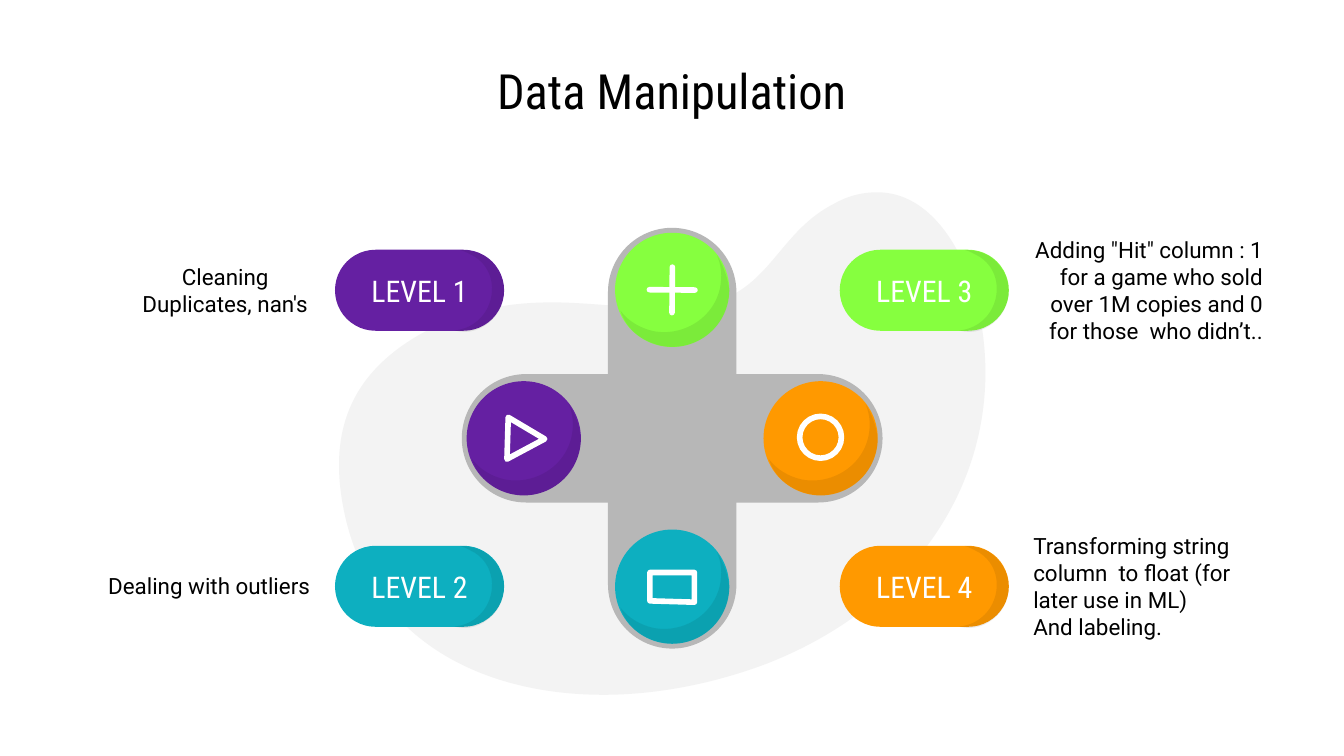
import dataclasses
import typing

import lxml.etree
import pptx
import pptx.dml.color
import pptx.enum.shapes
import pptx.enum.text
import pptx.oxml.ns
import pptx.util

Pt = pptx.util.Pt
SHAPES = pptx.enum.shapes.MSO_SHAPE
ALIGN = pptx.enum.text.PP_ALIGN
ANCHOR = pptx.enum.text.MSO_ANCHOR
Point = tuple[float, float]

CENTER_X, CENTER_Y = 360.1, 234.8
REACH = 79.5  # from the middle of the pad to each button
BUTTON = 61.2
PILL_WIDTH, PILL_HEIGHT = 90.6, 43.4
LEFT_PILL, RIGHT_PILL = 224.8, 495.2
TOP_ROW, BOTTOM_ROW = 155.5, 314.1

# Curves: the start point, then two control points and an end point per segment
BLOB = [(470, 103), (463, 103), (455, 104.4), (446.4, 109.4),
        (414, 126), (411.8, 162), (367.9, 164.2),
        (363.6, 164.2), (359.3, 164.9), (355, 164.9),
        (334, 164.9), (314.6, 162), (295.9, 162),
        (272.9, 162), (250.6, 165.6), (226, 178.6),
        (185, 201.6), (176.4, 234.7), (184.3, 273.6),
        (198, 341.3), (256.3, 372.2), (323.3, 372.2),
        (351.4, 372.2), (381.6, 366.5), (410.4, 355.7),
        (501.1, 320.4), (543.6, 239.8), (522.7, 159.1),
        (516.2, 134.6), (499, 103), (470, 103)]
BUTTON_SHADE = [(24.1, -18.4), (25.6, -14.8), (26.3, -11.2), (26.3, -7.6),
                (26.3, 13.3), (6.8, 25.6), (-10.4, 22),
                (-16.9, 20.5), (-23.4, 16.9), (-27.7, 11.2),
                (-24.1, 22), (-15.5, 27.7), (-6.1, 29.9),
                (10.4, 33.5), (29.9, 22), (30.6, 0.4),
                (29.9, -6.1), (27.7, -12.6), (24.1, -18.4)]
PILL_SHADE = [(21.6, -21.6), (24.5, -20.9), (26.6, -19.4), (29.5, -18),
              (41.8, -10.1), (41, 6.5), (32.4, 15.1),
              (28.8, 18.7), (24.5, 20.9), (18.7, 21.6),
              (26.6, 23.8), (33.8, 20.9), (38.9, 15.8),
              (47.5, 7.2), (48.2, -8.6), (35.3, -18),
              (31.7, -20.2), (26.6, -21.6), (21.6, -21.6)]

# Straight symbols, each a list of strokes around the button's middle
SYMBOLS = {
    "triangle": [[(11.2, 0.4), (-8.3, -11.2), (-9, 11.2)]],
    "rectangle": [[(-11.9, -7.6), (11.9, -7.6), (11.9, 8.3), (-11.9, 7.6)]],
    "plus": [[(0.1, -12.2), (-0.1, 12.2)], [(12.2, 0.1), (-12.2, -0.1)]],
}


@dataclasses.dataclass
class Level:
    title: str
    color: str
    pill_x: float
    row_y: float
    button_x: float
    button_y: float
    symbol: str
    note: str
    note_box: tuple[float, float, float, float]
    align: typing.Any
    anchor: typing.Any = ANCHOR.MIDDLE
    note_inset: float = 7.2


LEVELS = [
    Level("LEVEL 2", "0DAFC0", LEFT_PILL, BOTTOM_ROW, CENTER_X, CENTER_Y + REACH,
          "rectangle", "Dealing with outliers", (36, 286.2, 137.3, 55.4), ALIGN.RIGHT),
    Level("LEVEL 1", "6520A2", LEFT_PILL, TOP_ROW, CENTER_X - REACH, CENTER_Y,
          "triangle", "Cleaning\nDuplicates, nan's", (36, 127.8, 169.4, 55.4),
          ALIGN.CENTER),
    Level("LEVEL 3", "86FF3F", RIGHT_PILL, TOP_ROW, CENTER_X, CENTER_Y - REACH,
          "plus", 'Adding "Hit" column : 1 for a game who sold over 1M copies '
          "and 0 for those  who didn’t..", (546.5, 126.7, 137.3, 84.2),
          ALIGN.RIGHT, ANCHOR.TOP, 0),
    Level("LEVEL 4", "FF9900", RIGHT_PILL, BOTTOM_ROW, CENTER_X + REACH, CENTER_Y,
          "circle", "Transforming string column  to float (for later use in ML)\n"
          "And labeling.", (546.5, 286.2, 137.3, 55.4), ALIGN.LEFT),
]


def rgb(color: str) -> pptx.dml.color.RGBColor:
    return pptx.dml.color.RGBColor.from_string(color)


def write(shape, text: str, *, font: str, size: float, color: str,
          align=ALIGN.CENTER, anchor=ANCHOR.MIDDLE, inset: float = 7.2) -> None:
    frame = shape.text_frame
    frame.word_wrap = True
    frame.auto_size = pptx.enum.text.MSO_AUTO_SIZE.NONE
    frame.vertical_anchor = anchor
    frame.margin_left = frame.margin_right = Pt(7.2)
    frame.margin_top = frame.margin_bottom = Pt(inset)
    frame.text = text
    for paragraph in frame.paragraphs:
        paragraph.alignment = align
        for run in paragraph.runs:
            run.font.name = font
            run.font.size = Pt(size)
            run.font.color.rgb = rgb(color)


def paint(shape, color: str, opacity: int = 100) -> None:
    shape.shadow.inherit = False
    shape.fill.solid()
    shape.fill.fore_color.rgb = rgb(color)
    shape.line.fill.background()
    if opacity < 100:
        element = shape.fill._xPr.find(".//" + pptx.oxml.ns.qn("a:srgbClr"))
        lxml.etree.SubElement(element, pptx.oxml.ns.qn("a:alpha"), val=str(opacity * 1000))


def stroke(shape) -> None:
    """Leave a symbol unfilled, with a white line and round ends and corners."""
    shape.shadow.inherit = False
    shape.fill.background()
    shape.line.color.rgb = rgb("FFFFFF")
    shape.line.width = Pt(3)
    line = shape.line._get_or_add_ln()
    line.set("cap", "rnd")
    lxml.etree.SubElement(line, pptx.oxml.ns.qn("a:round"))


def add_centered(slide, kind, x: float, y: float, width: float, height: float):
    shape = slide.shapes.add_shape(kind, Pt(x - width / 2), Pt(y - height / 2),
                                   Pt(width), Pt(height))
    if kind == SHAPES.ROUNDED_RECTANGLE:
        shape.adjustments[0] = 0.5
    return shape


def add_outline(slide, points: list[Point], x: float = 0, y: float = 0):
    placed = [(Pt(x + dx), Pt(y + dy)) for dx, dy in points]
    builder = slide.shapes.build_freeform(*placed[0])
    builder.add_line_segments(placed[1:], close=len(points) > 2)
    return builder.convert_to_shape()


def add_curve(slide, points: list[Point], x: float = 0, y: float = 0):
    """Draw an outline, then join each three line points into a cubic segment."""
    shape = add_outline(slide, points, x, y)
    lines = list(shape._element.iter(pptx.oxml.ns.qn("a:lnTo")))
    for index in range(0, len(points) - 1, 3):
        curve = lxml.etree.Element(pptx.oxml.ns.qn("a:cubicBezTo"))
        lines[index].addprevious(curve)
        for line in lines[index:index + 3]:
            curve.append(line[0])
            line.getparent().remove(line)
    return shape


def add_level(slide, level: Level) -> None:
    # Button with its symbol
    x, y = level.button_x, level.button_y
    paint(add_centered(slide, SHAPES.OVAL, x, y, BUTTON, BUTTON), level.color)
    paint(add_curve(slide, BUTTON_SHADE, x, y), "000000", 8)
    if level.symbol == "circle":
        stroke(add_centered(slide, SHAPES.OVAL, x, y - 0.5, 22.4, 22.4))
    else:
        for points in SYMBOLS[level.symbol]:
            stroke(add_outline(slide, points, x, y))
    # Note
    note = slide.shapes.add_textbox(*(Pt(length) for length in level.note_box))
    write(note, level.note, font="Roboto", size=12, color="000000",
          align=level.align, anchor=level.anchor, inset=level.note_inset)
    # Pill
    pill = add_centered(slide, SHAPES.ROUNDED_RECTANGLE, level.pill_x, level.row_y,
                        PILL_WIDTH, PILL_HEIGHT)
    paint(pill, level.color)
    write(pill, level.title, font="Roboto Condensed", size=16, color="FFFFFF")
    paint(add_curve(slide, PILL_SHADE, level.pill_x, level.row_y), "000000", 8)


def main() -> None:
    presentation = pptx.Presentation()
    presentation.slide_width, presentation.slide_height = Pt(720), Pt(405)
    slide = presentation.slides.add_slide(presentation.slide_layouts[5])

    # Title
    title = slide.shapes.title
    title.left, title.top, title.width, title.height = Pt(36), Pt(32.4), Pt(648), Pt(31.7)
    write(title, "Data Manipulation", font="Roboto Condensed", size=26, color="000000")

    # Background blob and direction pad
    paint(add_curve(slide, BLOB), "F3F3F3")
    for width, height in ((225.4, 68.8), (68.8, 225.4)):
        paint(add_centered(slide, SHAPES.ROUNDED_RECTANGLE, CENTER_X, CENTER_Y,
                           width, height), "B7B7B7")

    for level in LEVELS:
        add_level(slide, level)
    presentation.save("out.pptx")


if __name__ == "__main__":
    main()
